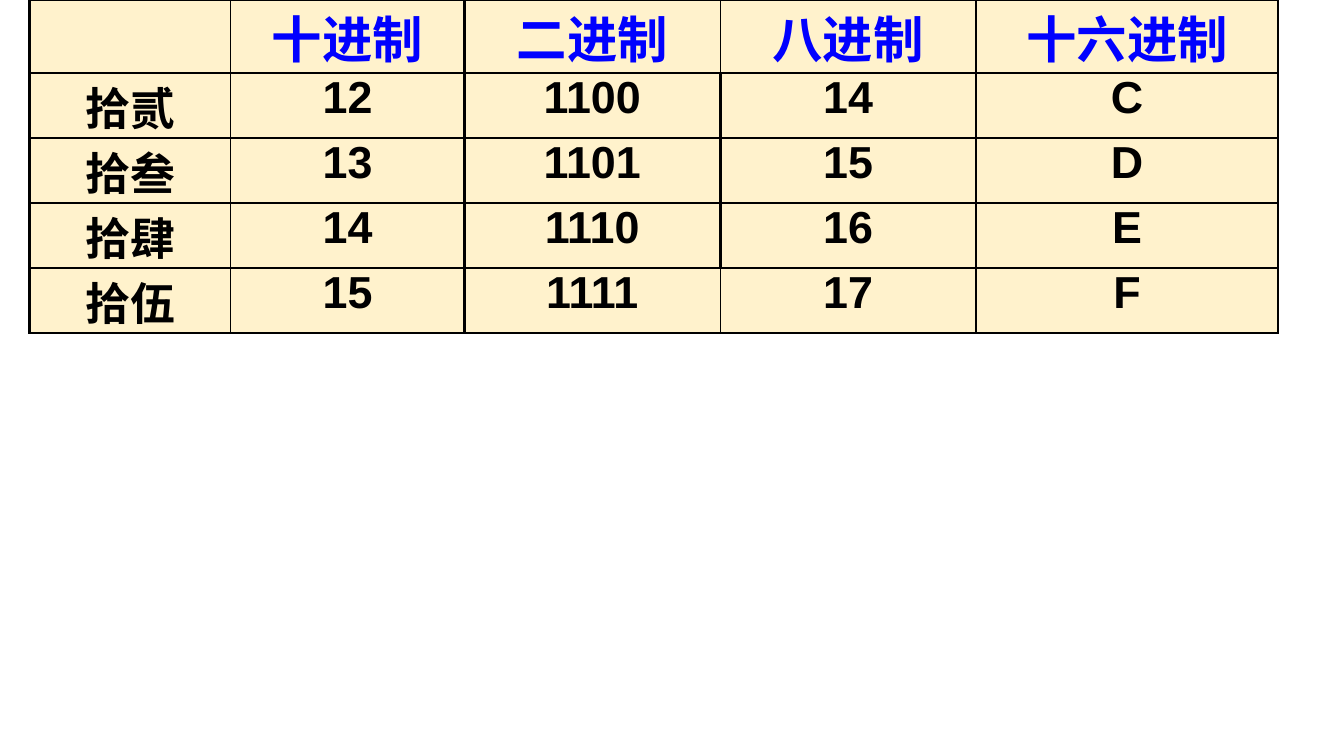
from dataclasses import dataclass
from lxml import etree
from pptx import Presentation
from pptx.dml.color import RGBColor
from pptx.enum.text import MSO_ANCHOR, PP_ALIGN
from pptx.oxml.ns import qn
from pptx.util import Pt

CENTER = PP_ALIGN.CENTER
TOP = MSO_ANCHOR.TOP


@dataclass(frozen=True)
class Theme:
    face: str = "Arial"
    head: str = "0000FF"
    ink: str = "000000"
    fill: str = "FFF2CC"
    headsize: float = 36
    size: float = 32
    thin: float = 1
    thick: float = 2.25


THEME = Theme()

DATA = [
    ["", "十进制", "二进制", "八进制", "十六进制"],
    ["拾贰", "12", "1100", "14", "C"],
    ["拾叁", "13", "1101", "15", "D"],
    ["拾肆", "14", "1110", "16", "E"],
    ["拾伍", "15", "1111", "17", "F"],
]
WIDTHS = [144, 167, 183, 183, 216]
HEIGHTS = [34.5] + [30.25] * 4


def apply(target, values):
    for name, value in values.items():
        setattr(target, name, value)


def edges(row, col):
    """Width of each border of a cell, from the grid lines around it."""
    last = len(DATA) - 1

    def upright(line):
        heavy = line in (0, 2) or (line == 3 and 0 < row < last)
        return THEME.thick if heavy else THEME.thin

    def level(line):
        return THEME.thick if line in (0, last + 1) else THEME.thin

    return {"a:lnL": upright(col), "a:lnR": upright(col + 1),
            "a:lnT": level(row), "a:lnB": level(row + 1)}


def border(cell, widths):
    props = cell._tc.get_or_add_tcPr()
    for spot, (tag, width) in enumerate(widths.items()):
        line = etree.Element(qn(tag), w=str(Pt(width)))
        fill = etree.SubElement(line, qn("a:solidFill"))
        etree.SubElement(fill, qn("a:srgbClr"), val=THEME.ink)
        props.insert(spot, line)


def write(cell, text, head):
    apply(cell, {"margin_left": Pt(3), "margin_right": Pt(3),
                 "margin_top": 0, "margin_bottom": 0,
                 "vertical_anchor": TOP})
    cell.fill.solid()
    cell.fill.fore_color.rgb = RGBColor.from_string(THEME.fill)
    if not text:
        return
    cell.text = text
    para = cell.text_frame.paragraphs[0]
    para.alignment = CENTER
    font = para.runs[0].font
    apply(font, {"name": THEME.face, "bold": True,
                 "size": Pt(THEME.headsize if head else THEME.size)})
    font.color.rgb = RGBColor.from_string(THEME.head if head else THEME.ink)


def number_table(slide, left, top, width, height):
    frame = slide.shapes.add_table(len(DATA), len(WIDTHS), Pt(left), Pt(top),
                                   Pt(width), Pt(height))
    table = frame.table
    apply(table, {"first_row": False, "horz_banding": False})

    # Grid: columns share the width of the box
    for column, part in zip(table.columns, WIDTHS):
        column.width = Pt(width * part / sum(WIDTHS))
    for row, tall in zip(table.rows, HEIGHTS):
        row.height = Pt(tall)
    frame.height = Pt(height)

    # Cells
    for r, row in enumerate(DATA):
        for c, text in enumerate(row):
            cell = table.cell(r, c)
            write(cell, text, r == 0)
            border(cell, edges(r, c))


def main():
    deck = Presentation()
    apply(deck, {"slide_width": Pt(960), "slide_height": Pt(540)})
    slide = deck.slides.add_slide(deck.slide_layouts[6])
    number_table(slide, 21, 0, 892, 196.5)
    deck.save("out.pptx")


if __name__ == "__main__":
    main()
